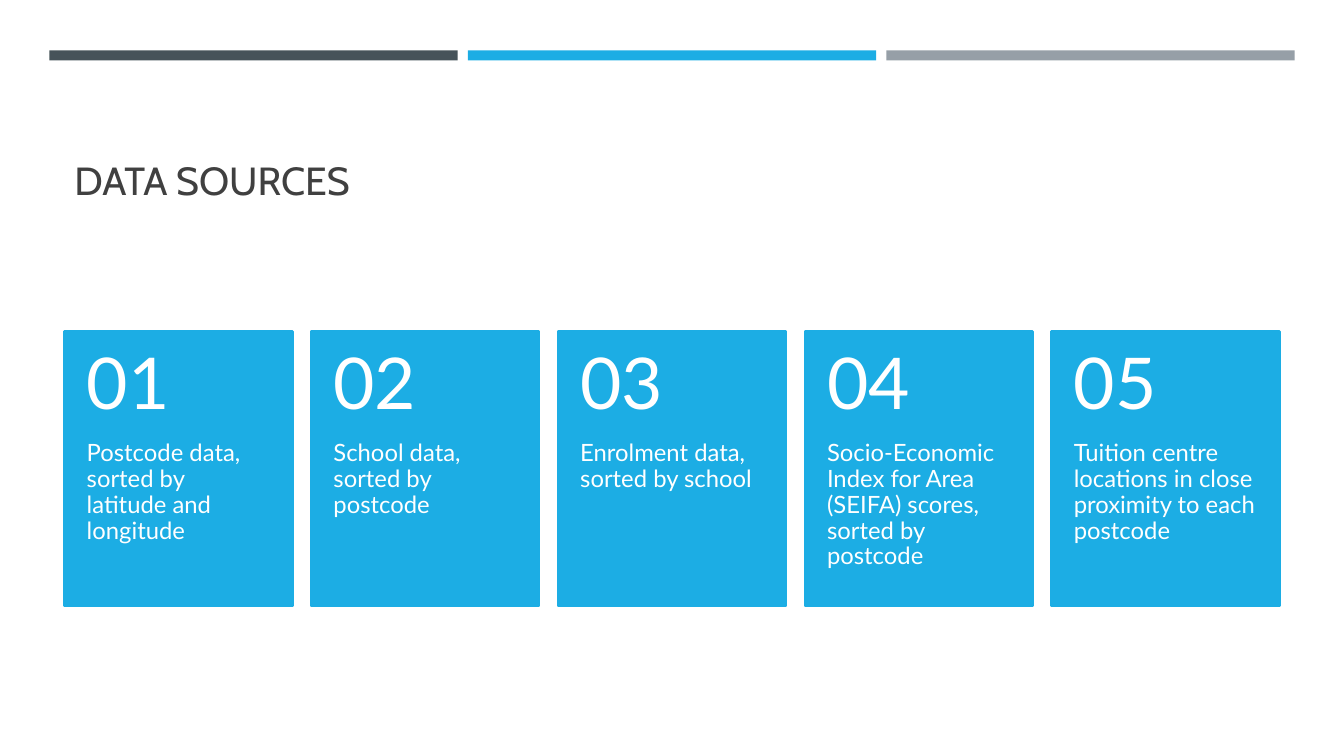
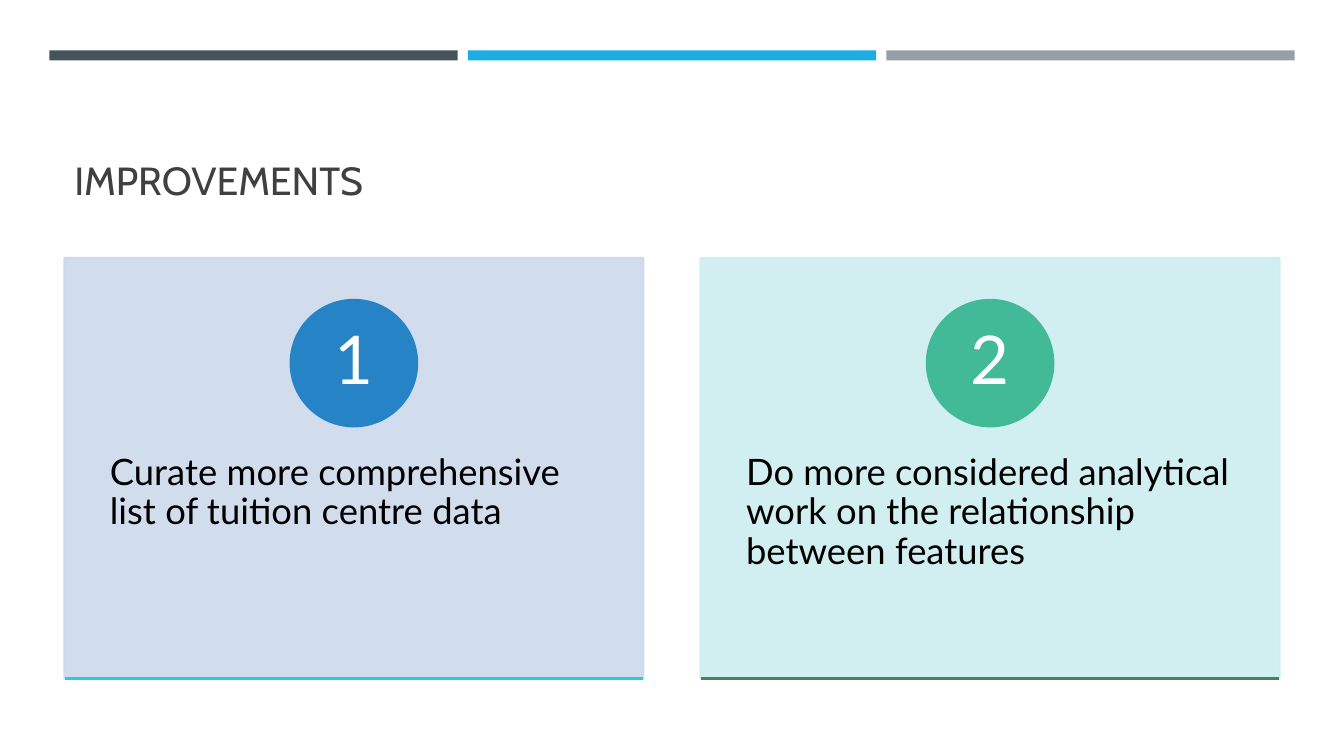
"""Builds two slides: numbered data sources and numbered improvements."""
import pptx
import pptx.util
import pptx.dml.color
import pptx.enum.shapes
import pptx.enum.text
import pptx.oxml.ns
from lxml import etree

SOURCES = [
    "Postcode data, sorted by latitude and longitude",
    "School data, sorted by postcode",
    "Enrolment data, sorted by school",
    "Socio-Economic Index for Area (SEIFA) scores, sorted by postcode",
    "Tuition centre locations in close proximity to each postcode",
]
IMPROVEMENTS = [
    {"text": "Curate more comprehensive list of tuition centre data",
     "panel": "CDD9EA", "badge": "2683C6", "rule": "27CED7"},
    {"text": "Do more considered analytical work on the relationship between features",
     "panel": "CDEDF0", "badge": "42BA97", "rule": "3E8853"},
]
THEME = {
    "bands": ["465359", "1CADE4", "969FA7"],
    "card": "1CADE4",
    "line": 1.75,
    "title": {"name": "Cabin", "size": 28, "color": "404040"},
    "card_number": {"name": "Lato", "size": 51, "color": "FFFFFF"},
    "card_text": {"name": "Lato", "size": 17, "color": "FFFFFF"},
    "badge": {"name": "Lato", "size": 48, "color": "FFFFFF"},
    "panel_text": {"name": "Lato", "size": 26, "color": "000000"},
}
WIDTH, HEIGHT = 13.33, 7.5
LEFT, SPAN = 0.64, 12.05
SHAPE = pptx.enum.shapes.MSO_SHAPE
ANCHOR = pptx.enum.text.MSO_ANCHOR
ALIGN = pptx.enum.text.PP_ALIGN


def rgb(value):
    return pptx.dml.color.RGBColor.from_string(value)


def inches(*values):
    return [pptx.util.Inches(v) for v in values]


def columns(left, span, count, width):
    step = (span - width) / (count - 1)
    return [left + i * step for i in range(count)]


def set_alpha(fill_parent, percent):
    for color in fill_parent.iter(pptx.oxml.ns.qn("a:srgbClr")):
        alpha = etree.SubElement(color, pptx.oxml.ns.qn("a:alpha"))
        alpha.set("val", str(percent * 1000))


def add_block(s, kind, box, color, line=THEME["line"], alpha=None):
    sp = s.shapes.add_shape(kind, *inches(*box))
    sp.shadow.inherit = False
    sp.fill.solid()
    sp.fill.fore_color.rgb = rgb(color)
    if line:
        sp.line.color.rgb = rgb(color)
        sp.line.width = pptx.util.Pt(line)
    else:
        sp.line.fill.background()
    if alpha:
        set_alpha(sp._element.spPr, alpha)
    return sp


def write(sp, text, style, insets, anchor=ANCHOR.TOP, align=ALIGN.LEFT, spacing=0.9):
    tf = sp.text_frame
    tf.word_wrap = True
    tf.vertical_anchor = anchor
    for side, value in zip(("left", "top", "right", "bottom"), inches(*insets)):
        setattr(tf, "margin_" + side, value)
    p = tf.paragraphs[0]
    p.alignment, p.line_spacing = align, spacing
    r = p.add_run()
    r.text = text
    font = {"name": style["name"], "size": pptx.util.Pt(style["size"])}
    for name, value in font.items():
        setattr(r.font, name, value)
    r.font.color.rgb = rgb(style["color"])


def add_text(s, box, *args, **kwargs):
    write(s.shapes.add_textbox(*inches(*box)), *args, **kwargs)


def add_rule(s, x, y, width, color):
    rule = s.shapes.add_connector(
        pptx.enum.shapes.MSO_CONNECTOR.STRAIGHT, *inches(x, y, x + width, y))
    rule.line.color.rgb = rgb(color)
    rule.line.width = pptx.util.Pt(THEME["line"])
    etree.SubElement(rule._element.spPr, pptx.oxml.ns.qn("a:effectLst"))


def add_slide(prs, title):
    s = prs.slides.add_slide(prs.slide_layouts[6])
    band = 4.05
    for x, color in zip(columns(0.49, 12.35, 3, band), THEME["bands"]):
        add_block(s, SHAPE.RECTANGLE, (x, 0.5, band, 0.1), color, line=None)
    add_text(s, (LEFT, 0.77, SPAN, 1.3), title, THEME["title"],
             (0.1, 0.05, 0.1, 0.05), anchor=ANCHOR.BOTTOM, spacing=1.0)
    return s


def build_sources(prs):
    s = add_slide(prs, "DATA SOURCES")
    top, width, height = 3.29, 2.26, 2.72
    head = height * 0.4
    lefts = columns(LEFT, SPAN, len(SOURCES), width)
    for number, (x, text) in enumerate(zip(lefts, SOURCES), 1):
        add_block(s, SHAPE.RECTANGLE, (x, top, width, height), THEME["card"])
        add_text(s, (x, top + head, width, height - head), text,
                 THEME["card_text"], (0.22, 0, 0.22, 0.36))
        add_text(s, (x, top, width, head), f"{number:02}", THEME["card_number"],
                 (0.22, 0.18, 0.22, 0.18), anchor=ANCHOR.MIDDLE)


def build_improvements(prs):
    s = add_slide(prs, "IMPROVEMENTS")
    top, width, height = 2.56, 5.74, 4.17
    badge = height * 0.3
    lefts = columns(LEFT, SPAN, len(IMPROVEMENTS), width)
    for number, (x, item) in enumerate(zip(lefts, IMPROVEMENTS), 1):
        add_block(s, SHAPE.RECTANGLE, (x, top, width, height), item["panel"], alpha=90)
        add_text(s, (x, top + height * 0.38, width, height * 0.6), item["text"],
                 THEME["panel_text"], (0.45, 0.36, 0.45, 0.36))
        circle = add_block(s, SHAPE.OVAL, (x + (width - badge) / 2, top + height * 0.1,
                                           badge, badge), item["badge"])
        write(circle, str(number), THEME["badge"], (0.1, 0.01, 0.1, 0.01),
              anchor=ANCHOR.MIDDLE, align=ALIGN.CENTER)
        add_rule(s, x, top + height, width, item["rule"])


def main():
    prs = pptx.Presentation()
    prs.slide_width, prs.slide_height = inches(WIDTH, HEIGHT)
    build_sources(prs)
    build_improvements(prs)
    prs.save("out.pptx")


if __name__ == "__main__":
    main()
